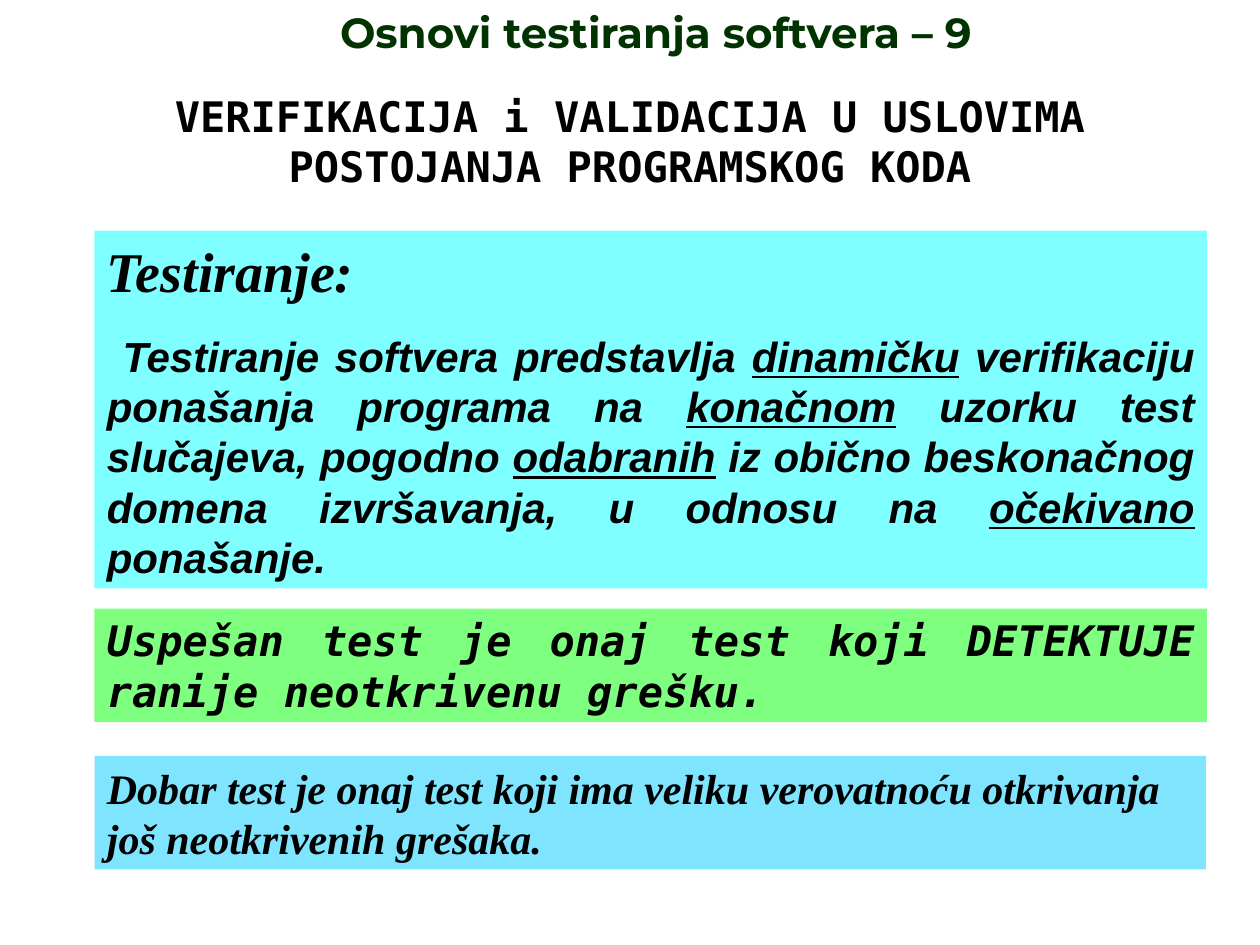
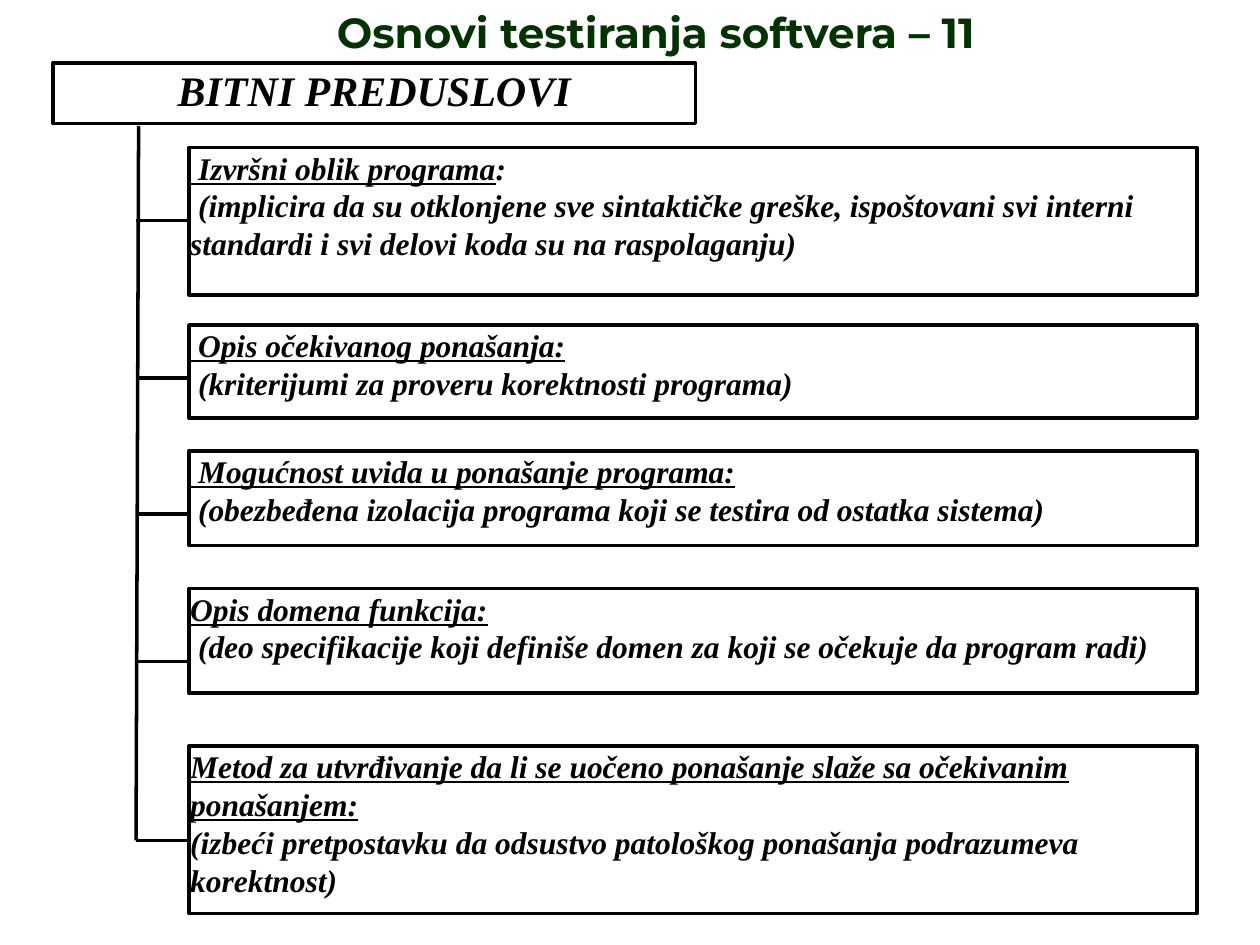
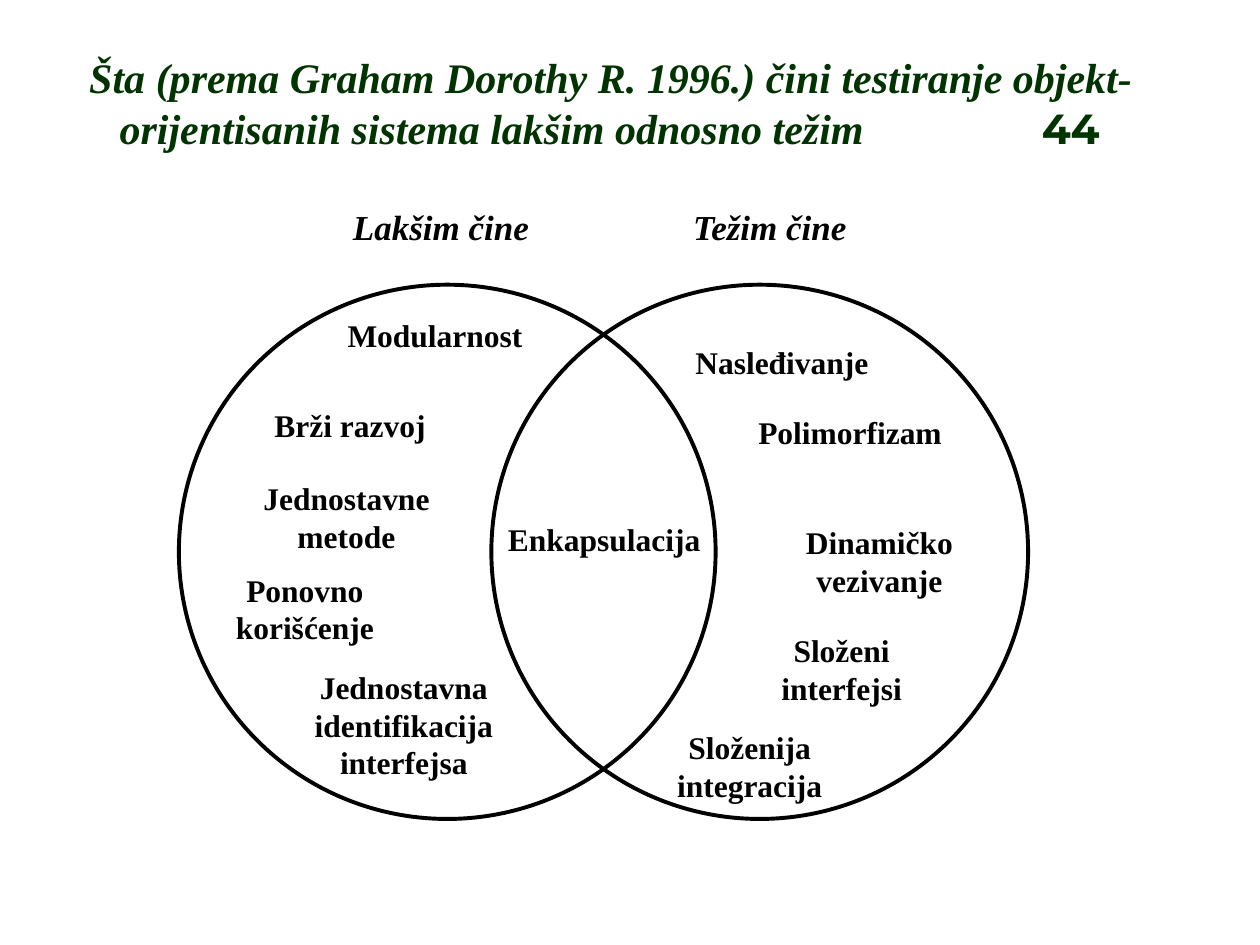
import pptx
import pptx.dml.color
import pptx.enum.shapes
import pptx.enum.text
import pptx.oxml.ns
import pptx.util
import lxml.etree
from dataclasses import dataclass

Inches = pptx.util.Inches
Pt = pptx.util.Pt
SHAPE = pptx.enum.shapes.MSO_SHAPE
ANCHOR = pptx.enum.text.MSO_ANCHOR
ALIGN = pptx.enum.text.PP_ALIGN


@dataclass(frozen=True)
class Theme:
    ink: str = "000000"
    title: str = "003300"
    paper: str = "FFFFFF"
    definition: str = "00FFFF"
    success: str = "00FF00"
    quality: str = "00CCFF"
    serif: str = "Times New Roman"
    sans: str = "Arial"
    mono: str = "DejaVu Sans Mono"
    heading: str = "Montserrat"
    body: int = 18
    label: int = 20
    large: int = 24
    huge: int = 32
    frame: float = 2
    circle: float = 2.25


theme = Theme()


def add_box(slide, at, kind=SHAPE.RECTANGLE, fill=None, alpha=None, line=None,
            inset=(0.1, 0.05), anchor=ANCHOR.TOP):
    """Add a shape without shadow and with its text frame ready for writing."""
    box = slide.shapes.add_shape(kind, *(Inches(length) for length in at))
    box.shadow.inherit = False
    if fill:
        box.fill.solid()
        box.fill.fore_color.rgb = pptx.dml.color.RGBColor.from_string(fill)
    else:
        box.fill.background()
    if alpha:
        tint = box.fill._xPr.find(".//" + pptx.oxml.ns.qn("a:srgbClr"))
        lxml.etree.SubElement(tint, pptx.oxml.ns.qn("a:alpha"), val=str(alpha * 1000))
    if line:
        box.line.color.rgb = pptx.dml.color.RGBColor.from_string(theme.ink)
        box.line.width = Pt(line)
    else:
        box.line.fill.background()
    frame = box.text_frame
    frame.word_wrap = True
    frame.vertical_anchor = anchor
    frame.margin_left = frame.margin_right = Inches(inset[0])
    frame.margin_top = frame.margin_bottom = Inches(inset[1])
    return frame


def write(frame, runs, size, font=theme.serif, color=theme.ink, italic=True,
          align=ALIGN.LEFT, before=0):
    """Write one paragraph of (text, underlined) runs, after any earlier ones."""
    paragraph = frame.paragraphs[0]
    if paragraph.runs:
        paragraph = frame.add_paragraph()
    paragraph.alignment = align
    paragraph.space_before = Pt(before)
    for text, underlined in runs:
        run = paragraph.add_run()
        run.text = text
        run.font.name = font
        run.font.size = Pt(size)
        run.font.bold = True
        run.font.italic = italic
        run.font.underline = underlined
        run.font.color.rgb = pptx.dml.color.RGBColor.from_string(color)
    return paragraph


deck = pptx.Presentation()
deck.slide_width, deck.slide_height = Inches(10), Inches(7.5)
testing, prerequisites, objects = [
    deck.slides.add_slide(deck.slide_layouts[6]) for _ in range(3)]

# Numbered lecture titles
for slide, number in ((testing, 9), (prerequisites, 11)):
    write(add_box(slide, (1.08, 0, 8.25, 0.5), anchor=ANCHOR.BOTTOM),
          [(f"Osnovi testiranja softvera – {number}", False)], theme.large,
          theme.heading, theme.title, italic=False, align=ALIGN.CENTER)

# Slide 1: chapter heading
write(add_box(testing, (0.5, 0.67, 9, 0.9)),
      [("VERIFIKACIJA i VALIDACIJA U USLOVIMA POSTOJANJA PROGRAMSKOG KODA", False)],
      theme.large, theme.mono, italic=False, align=ALIGN.CENTER)

# Slide 1: definition of testing
definition = add_box(testing, (0.75, 1.83, 8.83, 2.84), fill=theme.definition, alpha=50)
write(definition, [("Testiranje:", False)], theme.huge, align=ALIGN.JUSTIFY)
write(definition, [
    (" Testiranje softvera predstavlja ", False), ("dinamičku", True),
    (" verifikaciju ponašanja programa na ", False), ("konačnom", True),
    (" uzorku test slučajeva, pogodno ", False), ("odabranih", True),
    (" iz obično beskonačnog domena izvršavanja, u odnosu na ", False),
    ("očekivano", True), (" ponašanje.", False),
], theme.large, theme.sans, align=ALIGN.JUSTIFY, before=15)

# Slide 1: successful test and good test
for top, width, fill, font, align, statement in (
    (4.83, 8.83, theme.success, theme.mono, ALIGN.JUSTIFY,
     "Uspešan test je onaj test koji DETEKTUJE ranije neotkrivenu grešku."),
    (6, 8.82, theme.quality, theme.serif, ALIGN.LEFT,
     "Dobar test je onaj test koji ima veliku verovatnoću otkrivanja "
     "još neotkrivenih grešaka."),
):
    write(add_box(testing, (0.75, top, width, 0.9), fill=fill, alpha=50),
          [(statement, False)], theme.large, font, align=align)

# Slide 2: root of the tree
write(add_box(prerequisites, (0.42, 0.5, 5.1, 0.48), line=theme.frame, inset=(0.01, 0.01)),
      [("BITNI PREDUSLOVI", False)], theme.large, align=ALIGN.CENTER)

# Slide 2: prerequisites, each with the height of its branch
branches = [((1.1, 1), (1.08, 6.67))]
for top, height, branch, name, explanation in (
    (1.17, 1.17, 1.75, [(" Izvršni oblik programa", True), (":", False)],
     " (implicira da su otklonjene sve sintaktičke greške, ispoštovani svi interni "
     "standardi i svi delovi koda su na raspolaganju)"),
    (2.58, 0.74, 3, [(" Opis očekivanog ponašanja:", True)],
     " (kriterijumi za proveru korektnosti programa)"),
    (3.58, 0.75, 4.08, [(" Mogućnost uvida u ponašanje programa:", True)],
     " (obezbeđena izolacija programa koji se testira od ostatka sistema)"),
    (4.67, 0.83, 5.25, [("Opis domena funkcija:", True)],
     " (deo specifikacije koji definiše domen za koji se očekuje da program radi)"),
    (5.92, 1.33, 6.67,
     [("Metod za utvrđivanje da li se uočeno ponašanje slaže sa očekivanim "
       "ponašanjem:", True)],
     "(izbeći pretpostavku da odsustvo patološkog ponašanja podrazumeva korektnost)"),
):
    prerequisite = add_box(prerequisites, (1.5, top, 8, height), line=theme.frame,
                           inset=(0.01, 0.01))
    write(prerequisite, name, theme.body)
    write(prerequisite, [(explanation, False)], theme.body)
    branches.append(((1.08, branch), (1.5, branch)))

# Slide 2: trunk and branches
for start, end in branches:
    branch_line = prerequisites.shapes.add_connector(
        pptx.enum.shapes.MSO_CONNECTOR.STRAIGHT,
        *(Inches(length) for length in start + end))
    branch_line.line.color.rgb = pptx.dml.color.RGBColor.from_string(theme.ink)
    branch_line.line.width = Pt(theme.frame)
    lxml.etree.SubElement(branch_line._element.spPr, pptx.oxml.ns.qn("a:effectLst"))

# Slide 3: title with a hanging first line, and its number
question = write(
    add_box(objects, (0.2, 0.36, 9.29, 0.9), anchor=ANCHOR.BOTTOM),
    [("Šta (prema Graham Dorothy R. 1996.) čini testiranje "
      "objekt-orijentisanih sistema lakšim odnosno težim", False)],
    theme.large, color=theme.title)
question._p.get_or_add_pPr().set("marL", str(Inches(0.65)))
question._p.get_or_add_pPr().set("indent", str(-Inches(0.24)))
write(add_box(objects, (8.17, 0.76, 0.8, 0.5), anchor=ANCHOR.BOTTOM),
      [("44", False)], theme.large, theme.heading, theme.title, italic=False)

# Slide 3: properties inside the circles
for left, top, width, height, align, name in (
    (2.66, 2.46, 1.59, 0.39, ALIGN.LEFT, "Modularnost"),
    (5.42, 2.67, 1.58, 0.39, ALIGN.LEFT, "Nasleđivanje"),
    (2.08, 3.17, 1.54, 0.6, ALIGN.LEFT, "Brži razvoj"),
    (1.92, 3.75, 1.66, 0.58, ALIGN.CENTER, "Jednostavne metode"),
    (1.68, 4.48, 1.48, 0.58, ALIGN.CENTER, "Ponovno korišćenje"),
    (2.33, 5.25, 1.75, 0.91, ALIGN.CENTER, "Jednostavna identifikacija interfejsa"),
    (3.92, 4.08, 1.75, 0.58, ALIGN.CENTER, "Enkapsulacija"),
    (5.92, 3.23, 1.83, 0.39, ALIGN.LEFT, "Polimorfizam"),
    (6.21, 4.1, 1.54, 0.58, ALIGN.CENTER, "Dinamičko vezivanje"),
    (6.03, 4.96, 1.3, 0.58, ALIGN.CENTER, "Složeni interfejsi"),
    (5.15, 5.73, 1.6, 0.58, ALIGN.CENTER, "Složenija integracija"),
):
    write(add_box(objects, (left, top, width, height), fill=theme.paper),
          [(name, False)], theme.body, italic=False, align=align)

# Slide 3: overlapping circles and their headings
for circle_left, heading_left, heading in (
    (1.42, 2.39, "Lakšim čine"),
    (3.9, 5, "Težim čine"),
):
    add_box(objects, (circle_left, 2.26, 4.26, 4.24), SHAPE.OVAL, line=theme.circle)
    write(add_box(objects, (heading_left, 1.58, 2.22, 0.48), fill=theme.paper),
          [(heading, False)], theme.label, align=ALIGN.CENTER)

deck.save("out.pptx")
